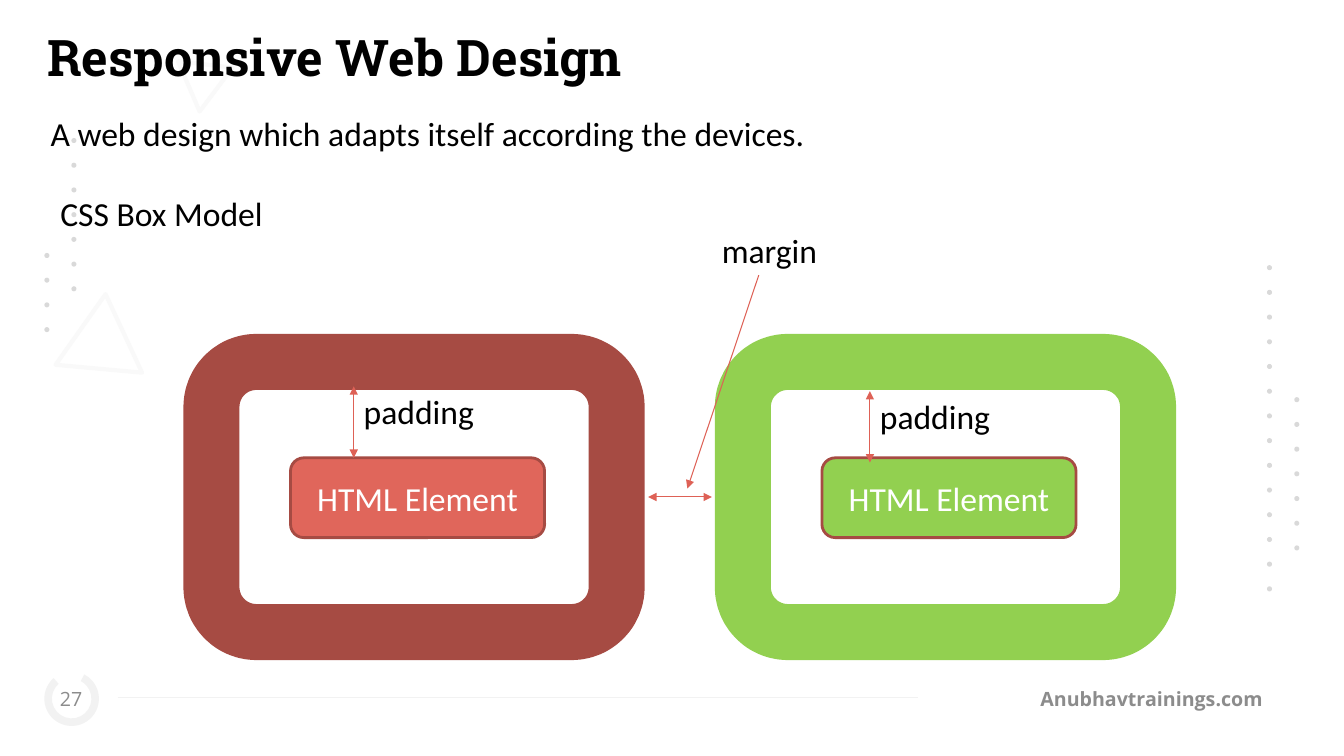
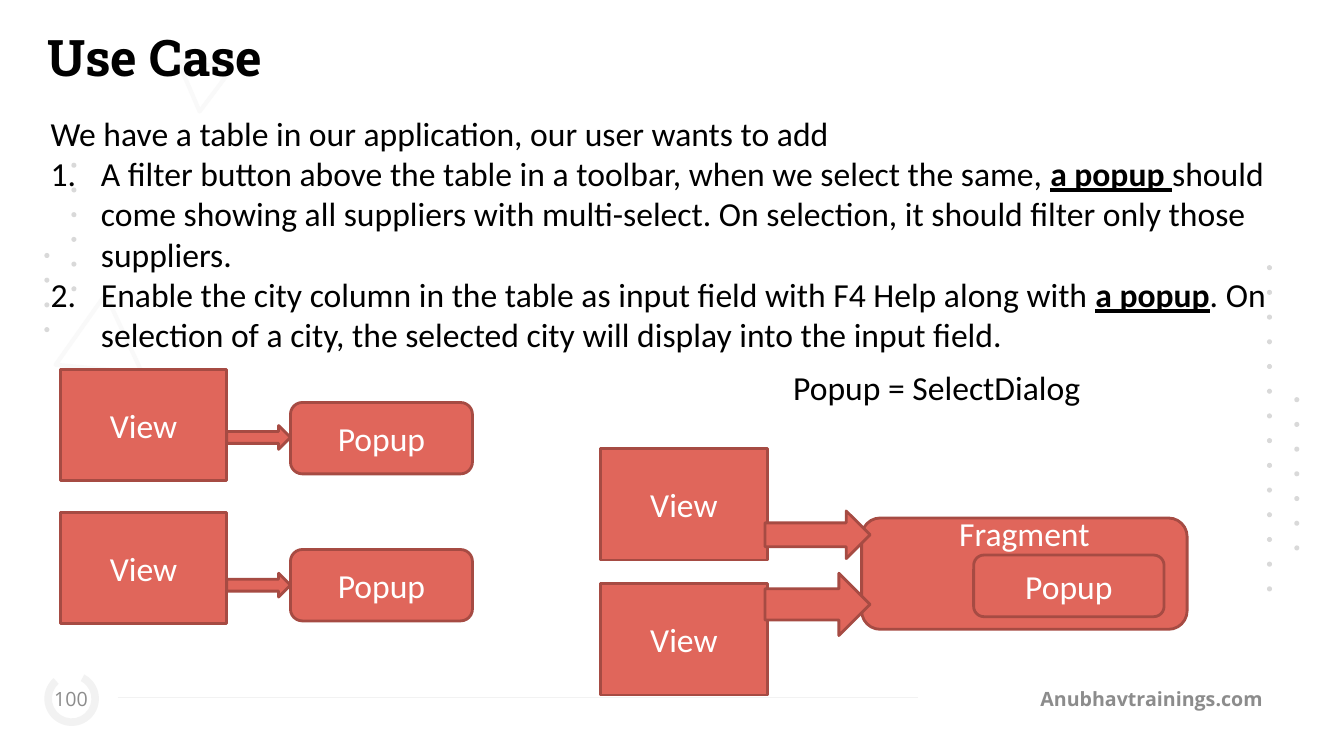
"""Build two training slides: the CSS box model and a popup use case."""
from lxml import etree
from pptx import Presentation
from pptx.dml.color import RGBColor
from pptx.enum.shapes import MSO_CONNECTOR, MSO_SHAPE as SHAPE
from pptx.enum.text import MSO_ANCHOR as ANCHOR, MSO_AUTO_SIZE as AUTO, PP_ALIGN as ALIGN
from pptx.oxml.ns import qn
from pptx.util import Pt

BLACK, WHITE, GREY = "000000", "FFFFFF", "8C8C8C"
PALE, DOT = "F2F2F2", "D9D9D9"
CORAL, BRICK, GREEN, ARROW = "E0665B", "A64B43", "92D050", "DE6156"

SITE = "Anubhavtrainings.com"
TRIANGLES = [((131, 38, 39, 34), 66.8), ((42, 210, 62, 53.5), 5.2)]
DOT_SIZE, DOT_STEP = 3.6, 17.65
DOT_GROUPS = [
    [(924.5, 283.7, 7), (905, 189.4, 14)],
    [(51, 98.6, 7), (31.7, 180.7, 4)],
]

BOX_MODEL = {
    "title": "Responsive Web Design",
    "page": "27",
    "intro": ["A web design which adapts itself according the devices."],
    "heading": "CSS Box Model",
    "frame_top": 258.5,
    "frame_size": (289.5, 193),
    "element_offset": (56.5, 68.5),
    "element_size": (181.5, 57),
    "boxes": [
        {"left": 151, "border": BRICK, "fill": CORAL, "padding_at": (252.7, 276)},
        {"left": 530.6, "border": GREEN, "fill": GREEN, "padding_at": (621.4, 279.4)},
    ],
    "padding_height": 51,
}
USE_CASE = {
    "title": "Use Case",
    "page": "100",
    "intro": ["We have a table in our application, our user wants to add"],
    "steps": [
        ["A filter button above the table in a toolbar, when we select the same, ",
         ("a popup ",),
         "should come showing all suppliers with multi-select. "
         "On selection, it should filter only those suppliers."],
        ["Enable the city column in the table as input field with F4 Help along with ",
         ("a popup",),
         ". On selection of a city, the selected city will display into the input field."],
    ],
    "views": [(43, 264), (43, 366), (429, 320.5), (429, 417)],
    "popups": [(207.5, 287.5, 130, 51), (207.5, 392.5, 130, 51)],
    "fragment": (615.5, 370, 232.5, 79.5),
    "shared_popup": (695.5, 396.5, 136, 44),
    "arrows": [(162, 304, 45.5, 17), (162, 409.5, 45.5, 17),
               (546.5, 365, 75, 34), (546.5, 409.5, 75, 44.5)],
    "note": "Popup = SelectDialog",
}
VIEW_SIZE = (119, 79.5)


def rgb(value):
    """Return a colour from a hex string."""
    return RGBColor.from_string(value)


def write(shape, paragraphs, size=24, font="Calibri", color=BLACK, bold=False,
          align=ALIGN.LEFT, anchor=ANCHOR.TOP, insets=(7.2, 3.6, 7.2, 3.6), numbered_from=None):
    """Fill a shape with paragraphs of runs; a run in a tuple is emphasised."""
    frame = shape.text_frame
    frame.word_wrap = True
    frame.vertical_anchor = anchor
    frame.margin_left, frame.margin_top, frame.margin_right, frame.margin_bottom = map(Pt, insets)
    for index, runs in enumerate(paragraphs):
        paragraph = frame.add_paragraph() if index else frame.paragraphs[0]
        paragraph.alignment = align
        if numbered_from is not None and index >= numbered_from:
            properties = paragraph._p.get_or_add_pPr()
            properties.set("marL", str(Pt(36)))
            properties.set("indent", str(Pt(-36)))
            etree.SubElement(properties, qn("a:buAutoNum"), type="arabicPeriod")
        for part in [runs] if isinstance(runs, str) else runs:
            emphasised = isinstance(part, tuple)
            run = paragraph.add_run()
            run.text = part[0] if emphasised else part
            run.font.size, run.font.name = Pt(size), font
            run.font.color.rgb = rgb(color)
            run.font.bold = bold or emphasised
            run.font.underline = emphasised


def add_label(slide, at, paragraphs, **text_format):
    """Add a text box that grows with its text."""
    label = slide.shapes.add_textbox(*map(Pt, at))
    write(label, paragraphs, **text_format)
    label.text_frame.auto_size = AUTO.SHAPE_TO_FIT_TEXT


def add_figure(shapes, kind, at, fill=None, line=None, width=2, rotation=0):
    """Add a flat preset shape."""
    figure = shapes.add_shape(kind, *map(Pt, at))
    figure.shadow.inherit = False
    figure.rotation = rotation
    if fill:
        figure.fill.solid()
        figure.fill.fore_color.rgb = rgb(fill)
    else:
        figure.fill.background()
    if line:
        figure.line.color.rgb = rgb(line)
        figure.line.width = Pt(width)
    else:
        figure.line.fill.background()
    return figure


def add_block(slide, kind, at, text, fill=CORAL, **text_format):
    """Add an outlined block with a white centred caption."""
    block = add_figure(slide.shapes, kind, at, fill, BRICK)
    write(block, [text], color=WHITE, align=ALIGN.CENTER, anchor=ANCHOR.MIDDLE, **text_format)


def add_line(slide, start, end, color=ARROW, ends=()):
    """Add a thin line with triangles at the named ends."""
    line = slide.shapes.add_connector(MSO_CONNECTOR.STRAIGHT, *map(Pt, start + end))
    line.line.color.rgb = rgb(color)
    line.line.width = Pt(0.75)
    for end_name in ends:
        etree.SubElement(line.line._get_or_add_ln(), qn("a:" + end_name), type="triangle")
    etree.SubElement(line._element.spPr, qn("a:effectLst"))


def add_page(deck, content):
    """Add a slide with the shared decoration, footer, title and intro."""
    slide = deck.slides.add_slide(deck.slide_layouts[6])
    ring = add_figure(slide.shapes, SHAPE.BLOCK_ARC, (31.7, 479.5, 39, 39), PALE, rotation=228.7)
    for index, value in enumerate((41.307, 0, 0.138)):
        ring.adjustments[index] = value
    add_line(slide, (84, 498), (656, 498), PALE)
    for at, rotation in TRIANGLES:
        triangle = add_figure(slide.shapes, SHAPE.ISOSCELES_TRIANGLE, at, line=DOT,
                              width=3, rotation=rotation)
        tint = triangle.line._get_or_add_ln().find(".//" + qn("a:srgbClr"))
        etree.SubElement(tint, qn("a:alpha"), val="14000")
    for columns in DOT_GROUPS:
        dots = slide.shapes.add_group_shape().shapes
        for left, top, count in columns:
            for row in range(count):
                add_figure(dots, SHAPE.OVAL, (left, top + row * DOT_STEP, DOT_SIZE, DOT_SIZE), DOT)
    footer = {"size": 14, "font": "Open Sans", "color": GREY, "anchor": ANCHOR.MIDDLE}
    add_label(slide, (666.5, 484.5, 245, 29), [SITE], bold=True, align=ALIGN.RIGHT,
              insets=(9.4, 5, 9.4, 5), **footer)
    add_label(slide, (36, 484.5, 29.5, 29), [content["page"]], align=ALIGN.CENTER,
              insets=(0, 5, 0, 5), **footer)
    add_label(slide, (26.6, 15, 901.5, 51), [content["title"]], size=36,
              font="Roboto Slab", bold=True)
    intro, steps = content["intro"], content.get("steps", [])
    add_label(slide, (29, 77, 901.5, 36 + 29 * 5 * bool(steps)), intro + steps,
              numbered_from=len(intro))
    return slide


def build_box_model(deck, content):
    """Build the slide on padding and margin."""
    slide = add_page(deck, content)
    both = ("headEnd", "tailEnd")
    top = content["frame_top"]
    shift_x, shift_y = content["element_offset"]
    for box in content["boxes"]:
        add_block(slide, SHAPE.ROUNDED_RECTANGLE,
                  (box["left"] + shift_x, top + shift_y, *content["element_size"]),
                  "HTML Element", box["fill"])
        add_figure(slide.shapes, SHAPE.ROUNDED_RECTANGLE,
                   (box["left"], top, *content["frame_size"]), line=box["border"], width=40)
        x, y = box["padding_at"]
        add_line(slide, (x, y), (x, y + content["padding_height"]), ends=both)
        add_label(slide, (x, y, 142, 36), ["padding"])
    add_label(slide, (36, 134, 585, 36), [content["heading"]])
    add_line(slide, (463, 355), (508.5, 355), ends=both)
    add_line(slide, (542, 196.5), (491, 349), ends=("tailEnd",))
    add_label(slide, (508.5, 160.5, 153, 36), ["margin"])


def build_use_case(deck, content):
    """Build the slide on views that open popups."""
    slide = add_page(deck, content)
    for place in content["views"]:
        add_block(slide, SHAPE.RECTANGLE, place + VIEW_SIZE, "View")
    add_block(slide, SHAPE.ROUNDED_RECTANGLE, content["fragment"], "Fragment",
              insets=(7.2, 0, 7.2, 58))
    for at in content["popups"] + [content["shared_popup"]]:
        add_block(slide, SHAPE.ROUNDED_RECTANGLE, at, "Popup")
    for at in content["arrows"]:
        add_figure(slide.shapes, SHAPE.RIGHT_ARROW, at, CORAL, BRICK)
    add_label(slide, (559.5, 258.5, 312, 36), [content["note"]])


def main():
    """Build and save the deck."""
    deck = Presentation()
    deck.slide_width, deck.slide_height = Pt(960), Pt(540)
    build_box_model(deck, BOX_MODEL)
    build_use_case(deck, USE_CASE)
    deck.save("out.pptx")


if __name__ == "__main__":
    main()
